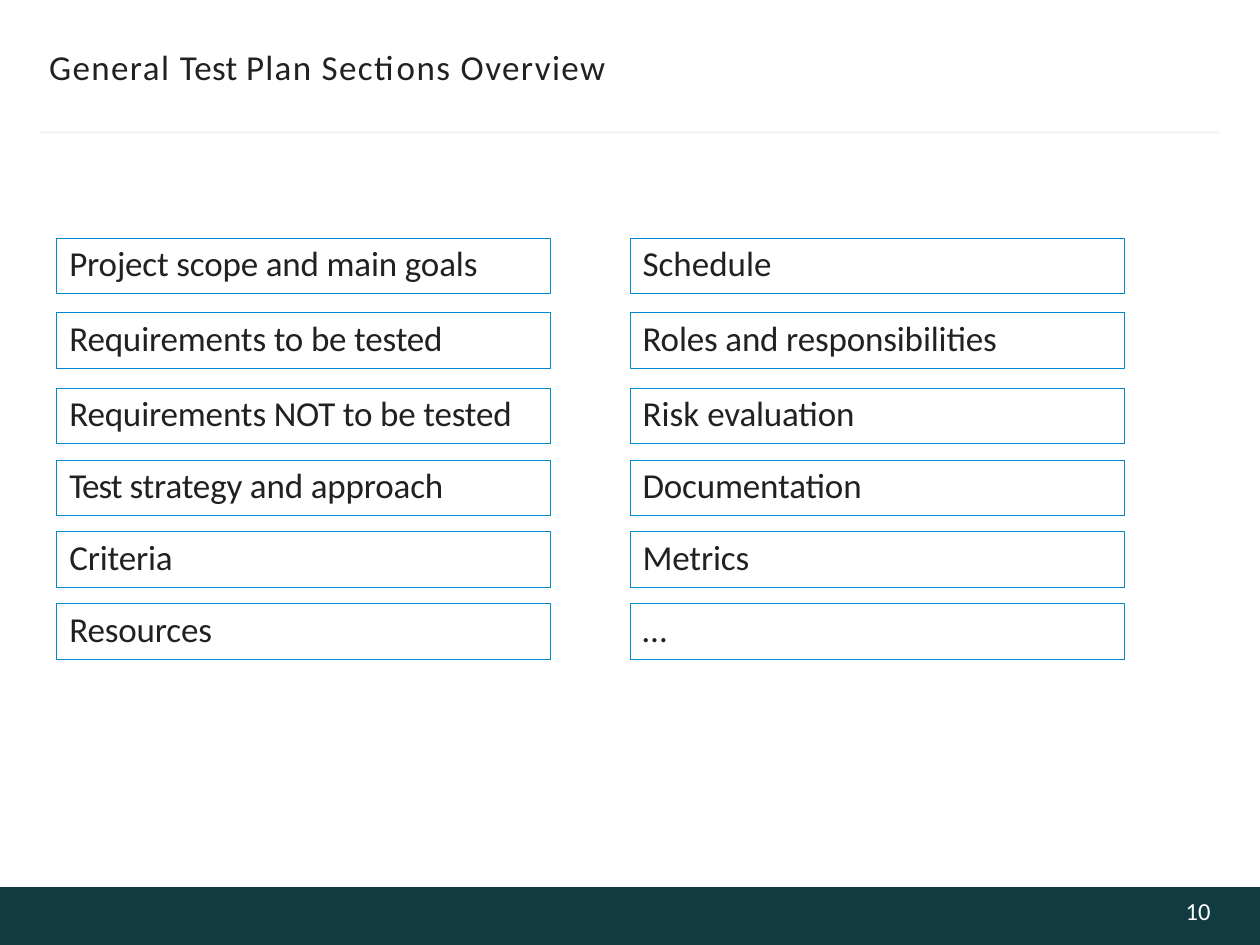
import dataclasses

import pptx
import pptx.dml.color
import pptx.enum.shapes
import pptx.enum.text
import pptx.oxml.ns
import pptx.util
from lxml import etree
from pptx.util import Inches, Pt


@dataclasses.dataclass(frozen=True)
class Theme:
    font: str = "Calibri"
    text: str = "212121"
    number: str = "FDFDFD"
    footer: str = "123B41"
    accent: str = "58C7D6"
    rule: str = "F5F5F5"
    border: str = "0089CF"
    text_size: int = 20
    number_size: int = 14


def rgb(value):
    return pptx.dml.color.RGBColor.from_string(value)


class SlideBuilder:
    def __init__(self, slide, theme):
        self.slide = slide
        self.theme = theme

    def set_text(self, shape, runs, size, color, top_inset=0, indent=0, space_before=0):
        """Fill the shape with one paragraph of (text, letter spacing in points) runs."""
        frame = shape.text_frame
        frame.word_wrap = True
        frame.auto_size = pptx.enum.text.MSO_AUTO_SIZE.NONE
        frame.vertical_anchor = pptx.enum.text.MSO_ANCHOR.TOP
        frame.margin_left = frame.margin_right = frame.margin_bottom = 0
        frame.margin_top = Inches(top_inset)
        paragraph = frame.paragraphs[0]
        paragraph.alignment = pptx.enum.text.PP_ALIGN.LEFT
        paragraph.space_before = Pt(space_before)
        paragraph._p.get_or_add_pPr().set("marL", str(Inches(indent)))
        paragraph.font.name = self.theme.font
        paragraph.font.size = Pt(size)
        paragraph.font.color.rgb = rgb(color)
        for text, spacing in runs:
            run = paragraph.add_run()
            run.text = text
            run._r.get_or_add_rPr().set("spc", str(round(spacing * 100)))
        return paragraph

    def title(self, runs, left, top, width, height):
        shape = self.slide.shapes.title
        shape.left, shape.top = Inches(left), Inches(top)
        shape.width, shape.height = Inches(width), Inches(height)
        self.set_text(shape, runs, self.theme.text_size, self.theme.text, 0.01, 0.01, 1.1)

    def section_box(self, runs, left, top, width, height):
        shape = self.rectangle(left, top, width, height)
        shape.fill.background()
        shape.line.color.rgb = rgb(self.theme.border)
        shape.line.width = Pt(0.25)
        self.set_text(shape, runs, self.theme.text_size, self.theme.text, 0.03, 0.1, 2.5)

    def rectangle(self, left, top, width, height):
        shape = self.slide.shapes.add_shape(
            pptx.enum.shapes.MSO_SHAPE.RECTANGLE,
            Inches(left), Inches(top), Inches(width), Inches(height))
        shape.shadow.inherit = False
        return shape

    def fill(self, shape, color):
        shape.fill.solid()
        shape.fill.fore_color.rgb = rgb(color)
        shape.line.fill.background()

    def footer_bar(self, left, top, width, height):
        self.fill(self.rectangle(left, top, width, height), self.theme.footer)

    def navigation_arrows(self, contours):
        first, *others = contours
        builder = self.slide.shapes.build_freeform(*first[0], scale=Inches(1))
        builder.add_line_segments(first[1:])
        for contour in others:
            builder.move_to(*contour[0])
            builder.add_line_segments(contour[1:])
        shape = builder.convert_to_shape()
        shape.shadow.inherit = False
        self.fill(shape, self.theme.accent)

    def horizontal_rule(self, left, right, top):
        connector = self.slide.shapes.add_connector(
            pptx.enum.shapes.MSO_CONNECTOR.STRAIGHT,
            Inches(left), Inches(top), Inches(right), Inches(top))
        connector.line.color.rgb = rgb(self.theme.rule)
        connector.line.width = Pt(1.5)
        etree.SubElement(connector._element.spPr, pptx.oxml.ns.qn("a:effectLst"))

    def page_number(self, number, left, top, width, height):
        shape = self.slide.shapes.add_textbox(
            Inches(left), Inches(top), Inches(width), Inches(height))
        paragraph = self.set_text(shape, [(number, 0)], self.theme.number_size,
                                  self.theme.number, indent=0.04)
        paragraph.line_spacing = Pt(14.3)


COLUMNS = {
    0.45: [
        [("Project scope and main goals", -0.1)],
        [("Requirements to be tested", -0.1)],
        [("Requirements NOT to be tested", -0.1)],
        [("Test ", -0.6), ("strategy and approach", -0.1)],
        [("Criteria", -0.1)],
        [("Resources", -0.1)],
    ],
    5: [
        [("Schedule", 0)],
        [("Roles and responsibilities", -0.1)],
        [("Risk ", 0), ("evaluation", -0.1)],
        [("Documentation", -0.1)],
        [("Metrics", -0.1)],
        [("…", 0)],
    ],
}
ROW_TOPS = [1.89, 2.48, 3.08, 3.65, 4.22, 4.79]
LEFT_ARROW = [(0.44, 7.18), (0.39, 7.25), (0.39, 7.27), (0.44, 7.34),
              (0.44, 7.3), (0.41, 7.26), (0.44, 7.22)]
RIGHT_ARROW = [(round(1.3 - x, 2), y) for x, y in LEFT_ARROW]


def main():
    presentation = pptx.Presentation()
    presentation.slide_width, presentation.slide_height = Inches(10), Inches(7.5)
    slide = presentation.slides.add_slide(presentation.slide_layouts[5])
    builder = SlideBuilder(slide, Theme())

    builder.footer_bar(0, 7.04, 10, 0.46)
    builder.navigation_arrows([LEFT_ARROW, RIGHT_ARROW])
    builder.horizontal_rule(0.32, 9.68, 1.05)
    builder.title([("General ", 0.8), ("Test ", 0.2), ("Plan ", 0.7),
                   ("Sections Overview", 0.8)], 0.38, 0.35, 4.6, 0.36)
    builder.page_number("10", 9.37, 7.15, 0.28, 0.22)
    for left, sections in COLUMNS.items():
        for top, runs in zip(ROW_TOPS, sections):
            builder.section_box(runs, left, top, 3.92, 0.44)

    presentation.save("out.pptx")


if __name__ == "__main__":
    main()
